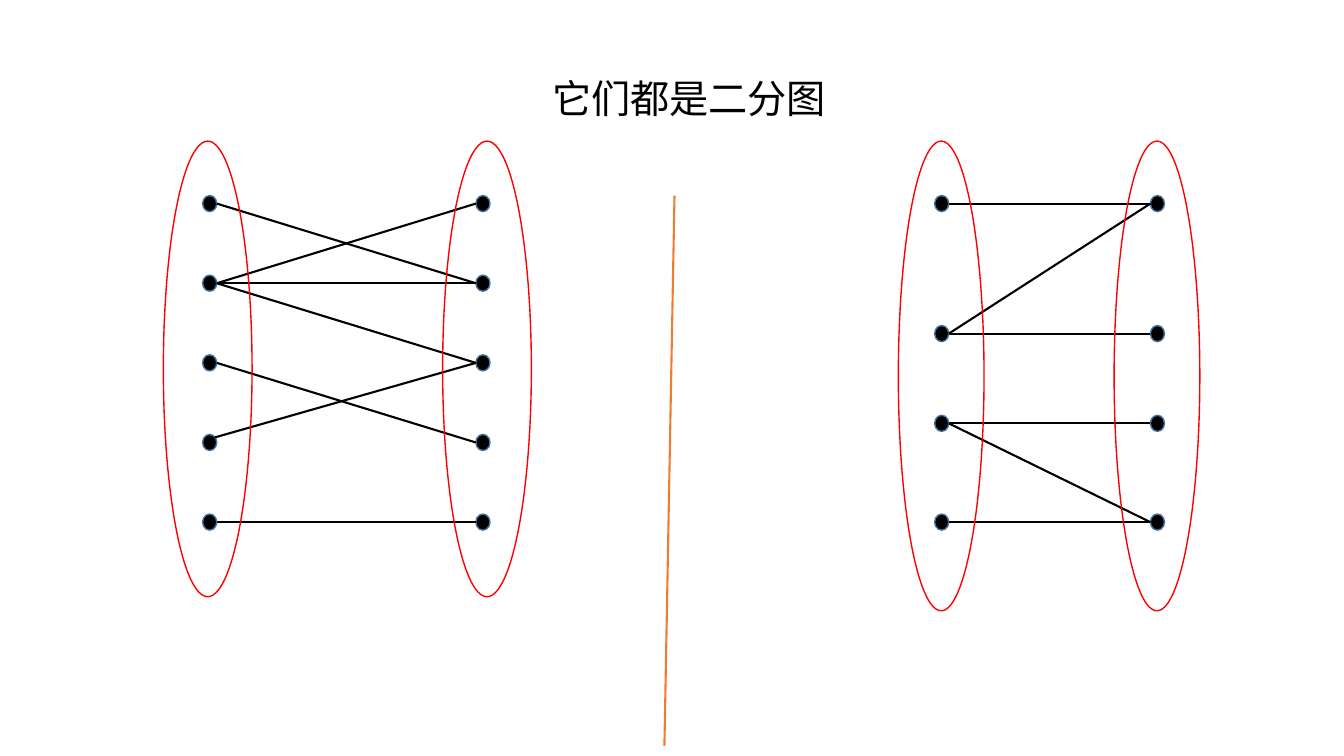
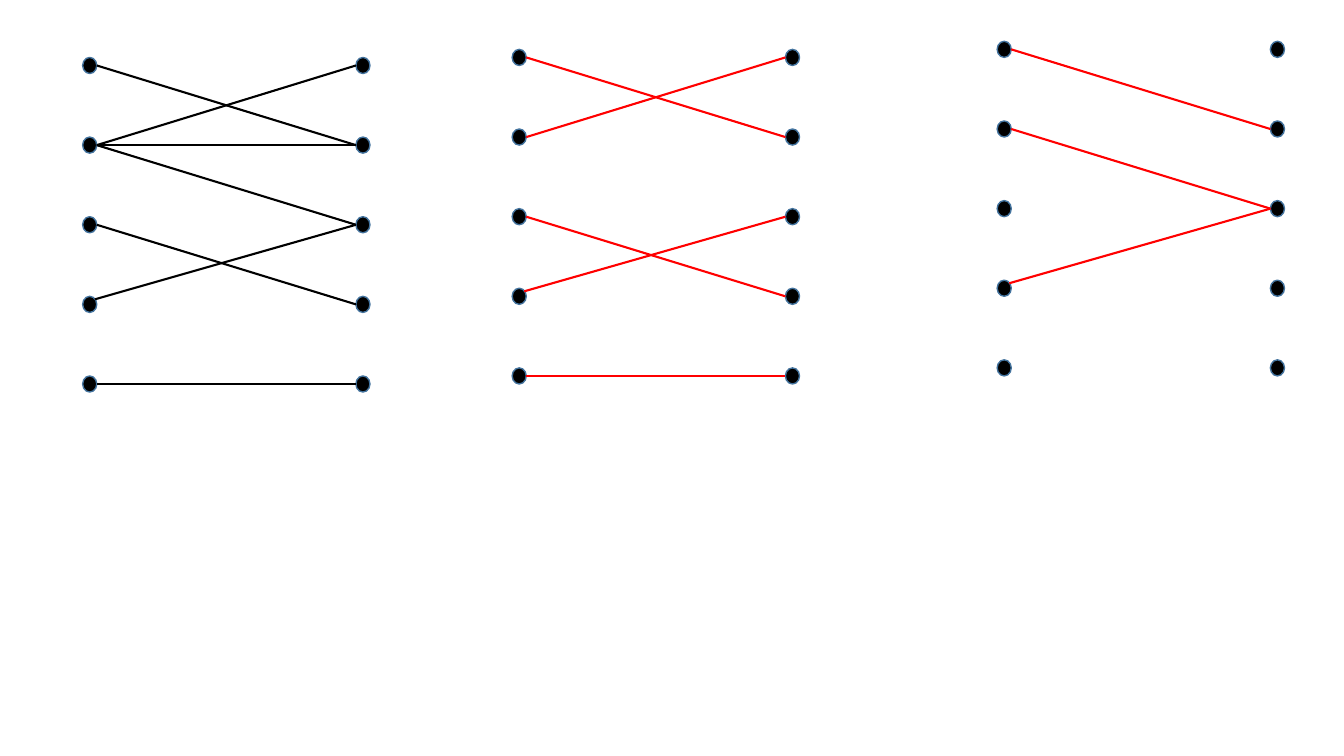
from dataclasses import dataclass

from lxml.etree import SubElement as SubEl
from pptx import Presentation as Deck
from pptx.dml.color import RGBColor as Color
from pptx.enum.shapes import MSO_CONNECTOR as Link, MSO_SHAPE as Form
from pptx.enum.text import MSO_AUTO_SIZE as Fit, PP_ALIGN as Align
from pptx.oxml.ns import qn
from pptx.slide import Slide
from pptx.util import Inches, Pt

BLACK = Color(0x00, 0x00, 0x00)
RED = Color(0xFF, 0x00, 0x00)
BLUE = Color(0x43, 0x73, 0x9E)
ORANGE = Color(0xED, 0x7D, 0x31)
FONT = "Noto Sans CJK SC"

DOT_W, DOT_H = 0.14, 0.16
FIVE = tuple(0.79 * row for row in range(5))
FOUR = (0, 1.29, 2.18, 3.16)
CORNER = (3, 2)

Edges = tuple[tuple[int, int], ...]
FULL: Edges = ((0, 1), (1, 1), (2, 3), (1, 2), (4, 4), (3, 2), (1, 0))
MATCH: Edges = ((0, 1), (2, 3), (4, 4), (3, 2), (1, 0))
PART: Edges = ((0, 1), (1, 2), (3, 2))
PAIRS: Edges = ((0, 0), (1, 0), (1, 1), (3, 3), (2, 2), (2, 3))


@dataclass(frozen=True)
class Graph:
    left: float
    top: float
    edges: Edges
    color: Color = BLACK
    gap: float = 2.71
    rows: tuple[float, ...] = FIVE


@dataclass(frozen=True)
class Ring:
    left: float
    width: float
    height: float
    top: float = 1.4


def add_oval(slide: Slide, left: float, top: float, width: float,
             height: float, edge: Color, fill: Color | None = None) -> None:
    oval = slide.shapes.add_shape(Form.OVAL, Inches(left), Inches(top),
                                  Inches(width), Inches(height))
    oval.shadow.inherit = False
    oval.line.color.rgb = edge
    oval.line.width = Pt(1)
    if fill is None:
        oval.fill.background()
    else:
        oval.fill.solid()
        oval.fill.fore_color.rgb = fill


def add_line(slide: Slide, x1: float, y1: float, x2: float, y2: float,
             color: Color) -> None:
    line = slide.shapes.add_connector(Link.STRAIGHT, Inches(x1), Inches(y1),
                                      Inches(x2), Inches(y2))
    line.line.color.rgb = color
    line.line.width = Pt(1.5)
    SubEl(line._element.spPr, qn("a:effectLst"))


def add_graph(slide: Slide, graph: Graph) -> None:
    right = graph.left + graph.gap
    for left in (graph.left, right):
        for row in graph.rows:
            add_oval(slide, left, graph.top + row, DOT_W, DOT_H, BLUE, BLACK)
    mid = graph.top + DOT_H / 2
    for start, end in graph.edges:
        x, y = graph.left + DOT_W, mid + graph.rows[start]
        if (start, end) == CORNER:
            x, y = x - 0.02, y - 0.05
        add_line(slide, x, y, right, mid + graph.rows[end], graph.color)


def add_title(slide: Slide, text: str) -> None:
    box = slide.shapes.add_textbox(Inches(3.63), Inches(0.69),
                                   Inches(6.41), Inches(0.57))
    frame = box.text_frame
    frame.word_wrap = True
    frame.auto_size = Fit.SHAPE_TO_FIT_TEXT
    para = frame.paragraphs[0]
    para.alignment = Align.CENTER
    run = para.add_run()
    run.text = text
    run.font.size = Pt(28)
    run.font.name = FONT
    run.font.color.rgb = BLACK
    SubEl(run.font._element, qn("a:ea")).set("typeface", FONT)


def main() -> None:
    deck = Deck()
    deck.slide_width, deck.slide_height = Inches(13.33), Inches(7.5)
    blank = deck.slide_layouts[6]

    proof = deck.slides.add_slide(blank)
    for graph in (Graph(2.01, 1.94, FULL),
                  Graph(9.27, 1.94, PAIRS, gap=2.14, rows=FOUR)):
        add_graph(proof, graph)
    add_line(proof, 6.69, 1.94, 6.59, 7.4, ORANGE)
    add_title(proof, "它们都是二分图")
    for ring in (Ring(1.62, 0.88, 4.52), Ring(4.39, 0.88, 4.52),
                 Ring(8.91, 0.85, 4.66), Ring(11.05, 0.85, 4.66)):
        add_oval(proof, ring.left, ring.top, ring.width, ring.height, RED)

    match = deck.slides.add_slide(blank)
    for graph in (Graph(0.82, 0.57, FULL), Graph(9.89, 0.41, PART, RED),
                  Graph(5.08, 0.49, MATCH, RED)):
        add_graph(match, graph)

    deck.save("out.pptx")


if __name__ == "__main__":
    main()
